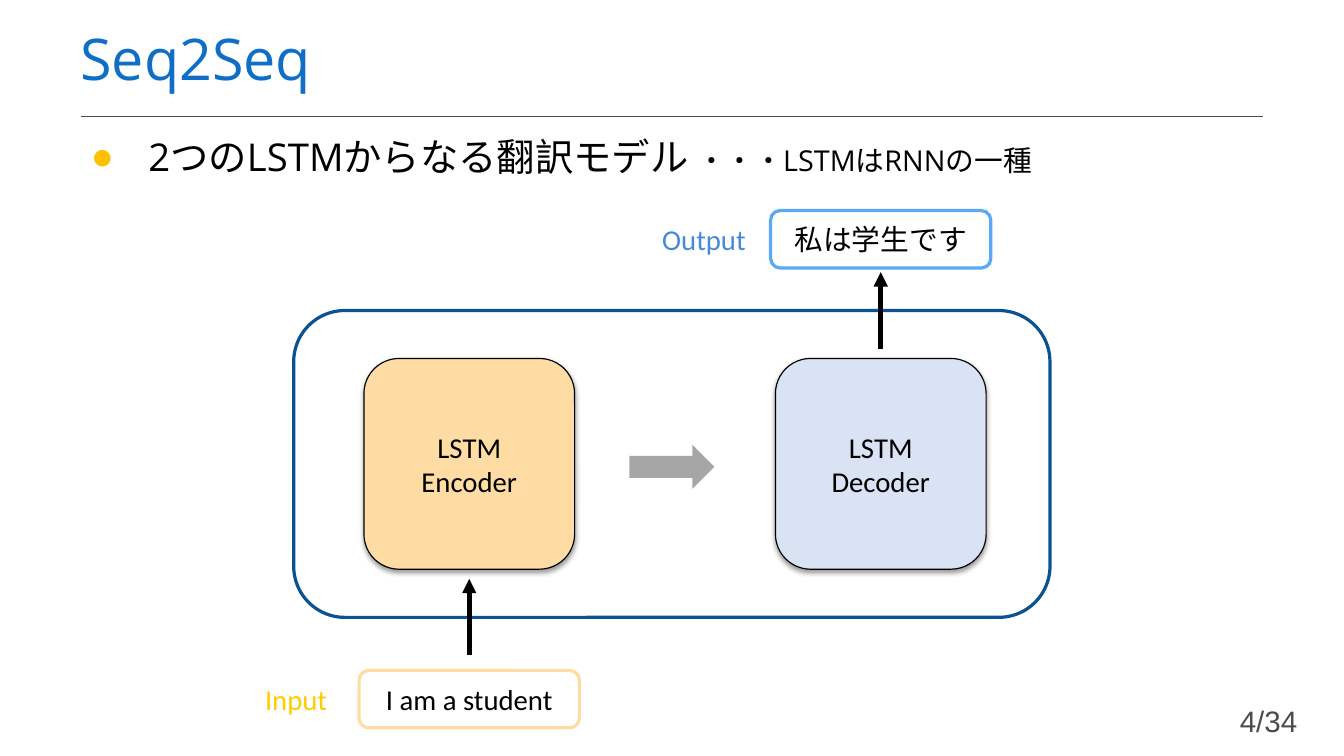
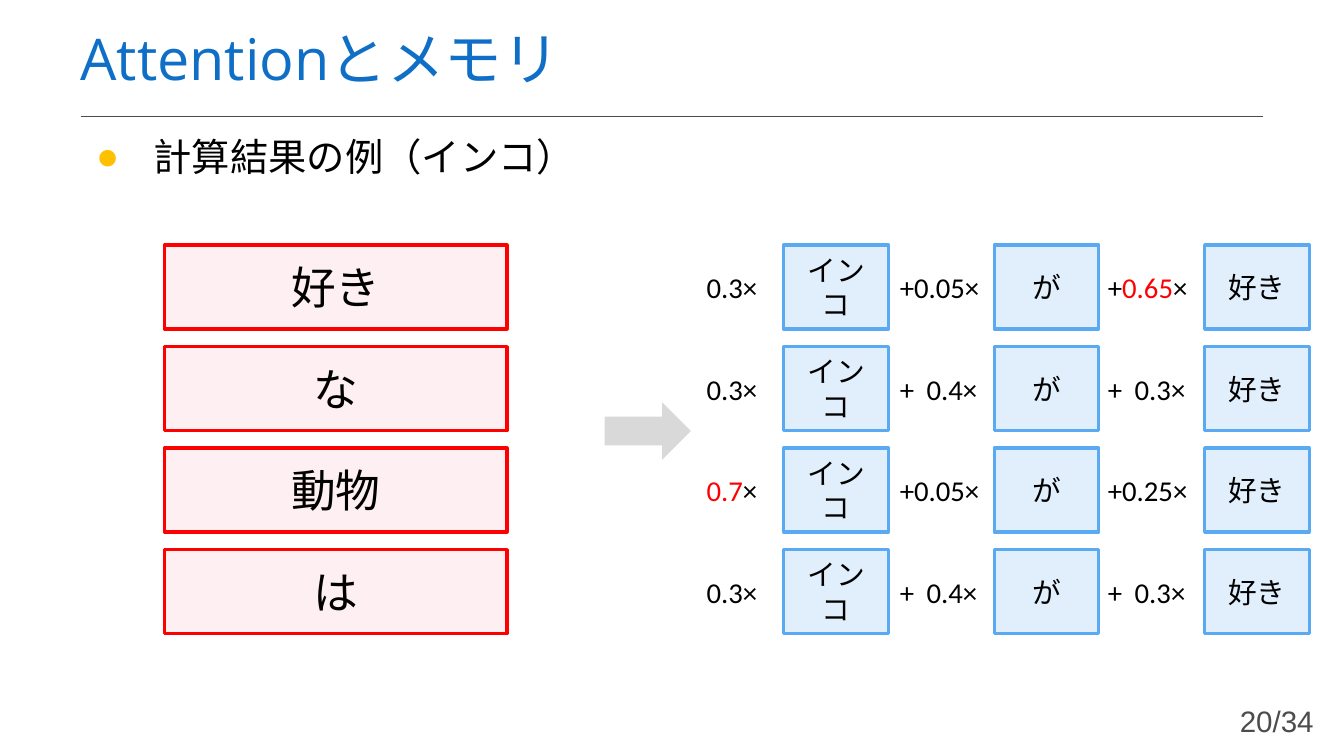
import dataclasses
import typing

import lxml.etree
import pptx
import pptx.dml.color
import pptx.enum.shapes
import pptx.enum.text
import pptx.oxml.ns
import pptx.util

Pt = pptx.util.Pt
SHAPE = pptx.enum.shapes.MSO_SHAPE
ALIGN = pptx.enum.text.PP_ALIGN
ANCHOR = pptx.enum.text.MSO_ANCHOR


@dataclasses.dataclass(frozen=True)
class Style:
    font: str
    size: float
    color: str
    east_asian: str = ""


@dataclasses.dataclass(frozen=True)
class Theme:
    black: str = "000000"
    blue: str = "59AAF2"
    pale_blue: str = "C8E3FB"
    red: str = "FF0000"
    pale_red: str = "FEE2E7"
    orange: str = "FFDCA4"
    decoder: str = "DAE3F4"
    frame: str = "0B5292"
    bullet: str = "FFC000"
    rule: str = "4C4C4C"
    gray: str = "A6A6A6"
    light_gray: str = "D9D9D9"
    tint: int = 54
    outline: float = 2
    title: Style = Style("Open Sans", 36, "0F6FC6")
    body: Style = Style("Open Sans", 24, "000000")
    remark: Style = Style("Open Sans", 18, "000000", "Open Sans")
    label: Style = Style("Calibri", 18, "000000")
    highlight: Style = Style("Calibri", 18, "FF0000")
    input_label: Style = Style("Calibri", 18, "FFCC00")
    output_label: Style = Style("Calibri", 18, "448AD7")
    query: Style = Style("Arial", 28, "000000")
    memory: Style = Style("Arial", 18, "000000")
    page: Style = Style("Arial", 18.5, "4C4C4C")


THEME = Theme()


class Box(typing.NamedTuple):
    x: float
    y: float
    w: float
    h: float

    def lengths(self):
        return [Pt(value) for value in self]

    @property
    def center(self):
        return self.x + self.w / 2

    @property
    def bottom(self):
        return self.y + self.h


def rgb(color):
    return pptx.dml.color.RGBColor.from_string(color)


def add_xml(parent, tag, **attributes):
    values = {name: str(value) for name, value in attributes.items()}
    return lxml.etree.SubElement(parent, pptx.oxml.ns.qn(tag), values)


def format_run(run, style):
    run.font.name = style.font
    run.font.size = Pt(style.size)
    run.font.color.rgb = rgb(style.color)
    if style.east_asian:
        add_xml(run._r.get_or_add_rPr(), "a:ea", typeface=style.east_asian)


def write_runs(paragraph, runs):
    for text, style in runs:
        run = paragraph.add_run()
        run.text = text
        format_run(run, style)


def clear_margins(frame):
    frame.margin_left = frame.margin_right = 0
    frame.margin_top = frame.margin_bottom = 0


def add_block(slide, kind, box, fill=None, line=None, text="", style=THEME.label,
              width=THEME.outline, opacity=None):
    block = slide.shapes.add_shape(kind, *box.lengths())
    block.shadow.inherit = False
    if fill:
        block.fill.solid()
        block.fill.fore_color.rgb = rgb(fill)
        if opacity:
            color = block.fill._xPr.find(".//" + pptx.oxml.ns.qn("a:srgbClr"))
            add_xml(color, "a:alpha", val=opacity * 1000)
    else:
        block.fill.background()
    if line:
        block.line.color.rgb = rgb(line)
        block.line.width = Pt(width)
    else:
        block.line.fill.background()
    if text:
        frame = block.text_frame
        frame.text = text
        frame.vertical_anchor = ANCHOR.MIDDLE
        for paragraph in frame.paragraphs:
            paragraph.alignment = ALIGN.CENTER
            for run in paragraph.runs:
                format_run(run, style)
    return block


def add_label(slide, box, runs, tab=None):
    label = slide.shapes.add_textbox(*box.lengths())
    label.text_frame.word_wrap = True
    paragraph = label.text_frame.paragraphs[0]
    if tab:
        stops = add_xml(paragraph._p.get_or_add_pPr(), "a:tabLst")
        add_xml(stops, "a:tab", pos=Pt(tab), algn="l")
    write_runs(paragraph, runs)
    return label


def add_line(slide, start, end, color, width, arrow=False):
    line = slide.shapes.add_connector(
        pptx.enum.shapes.MSO_CONNECTOR.STRAIGHT, *map(Pt, start + end))
    line.line.color.rgb = rgb(color)
    line.line.width = Pt(width)
    if arrow:
        add_xml(line.line._get_or_add_ln(), "a:tailEnd", type="triangle")
    add_xml(line._element.spPr, "a:effectLst")


def add_soft_shadow(block):
    effects = block._element.spPr.find(pptx.oxml.ns.qn("a:effectLst"))
    shadow = add_xml(effects, "a:outerShdw", blurRad=Pt(3.1), dist=Pt(1.6),
                     dir=5400000, algn="t", rotWithShape=0)
    add_xml(add_xml(shadow, "a:srgbClr", val=THEME.black), "a:alpha", val=38000)


def fill_placeholder(placeholder, box, runs, bullet=False):
    placeholder.left, placeholder.top, placeholder.width, placeholder.height = box.lengths()
    frame = placeholder.text_frame
    clear_margins(frame)
    frame.word_wrap = True
    frame.auto_size = pptx.enum.text.MSO_AUTO_SIZE.NONE
    frame.vertical_anchor = ANCHOR.TOP
    paragraph = frame.paragraphs[0]
    if bullet:
        properties = paragraph._p.get_or_add_pPr()
        properties.set("marL", str(Pt(36)))
        properties.set("indent", str(-Pt(36)))
        add_xml(add_xml(properties, "a:buClr"), "a:srgbClr", val=THEME.bullet)
        add_xml(properties, "a:buFont", typeface="Arial")
        add_xml(properties, "a:buChar", char="●")
    paragraph.alignment = ALIGN.LEFT
    paragraph.space_before = Pt(0)
    write_runs(paragraph, runs)


def add_content_slide(deck, title, body_box, body_runs, page):
    """Add a slide with the shared title, rule, bullet and page number."""
    slide = deck.slides.add_slide(deck.slide_layouts[1])
    add_line(slide, (50.5, 73), (791, 73), THEME.rule, 0.92)
    fill_placeholder(slide.shapes.title, Box(50.4, 14.7, 742, 44), [(title, THEME.title)])
    fill_placeholder(slide.placeholders[1], body_box, body_runs, bullet=True)
    number = add_label(slide, Box(774.7, 440.4, 60, 22), [(page, THEME.page)])
    clear_margins(number.text_frame)
    number.text_frame.margin_left = Pt(2)
    return slide


def draw_sentence(slide, center, top, text, line, name, name_style, name_width):
    """Draw a rounded sentence box with its name on the left."""
    box = Box(center - 69, top, 138, 36)
    add_block(slide, SHAPE.ROUNDED_RECTANGLE, box, line=line, text=text)
    add_label(slide, Box(box.x - name_width, top + 3.6, name_width, 29), [(name, name_style)])


def draw_translator(slide, frame):
    side = 132
    encoder = Box(frame.x + 44, frame.y + 30, side, side)
    decoder = encoder._replace(x=encoder.x + 257.8)
    for box, text, fill in ((encoder, "LSTM\nEncoder", THEME.orange),
                            (decoder, "LSTM\nDecoder", THEME.decoder)):
        cell = add_block(slide, SHAPE.ROUNDED_RECTANGLE, box, fill, THEME.black, text, width=0.75)
        add_soft_shadow(cell)
    add_block(slide, SHAPE.ROUNDED_RECTANGLE, frame, line=THEME.frame)

    near, far = 6, 54
    for x, edge, first, last in ((encoder.center, encoder.bottom, far, near),
                                 (decoder.center, decoder.y, -near, -far)):
        add_line(slide, (x, edge + first), (x, edge + last), THEME.black, 3, arrow=True)

    draw_sentence(slide, encoder.center, frame.bottom + 33.2, "I am a student",
                  THEME.orange, "Input", THEME.input_label, 66)
    draw_sentence(slide, decoder.center, frame.y - 62.6, "私は学生です",
                  THEME.blue, "Output", THEME.output_label, 75)
    add_block(slide, SHAPE.RIGHT_ARROW,
              Box(frame.center - 26.6, frame.y + 84.2, 53.3, 27.4), THEME.gray)


def draw_queries(slide, area, words, pitch, height):
    for row, word in enumerate(words):
        add_block(slide, SHAPE.RECTANGLE, Box(area.x, area.y + row * pitch, area.w, height),
                  THEME.pale_red, THEME.red, word, THEME.query, opacity=THEME.tint)


def draw_factor(slide, box, sign, weight):
    """Write one weight, highlighting those above one half."""
    style = THEME.highlight if float(weight) > 0.5 else THEME.label
    gap = "\t" if sign and len(weight) == 3 else ""
    runs = [(weight, style), ("×", THEME.label)]
    if sign:
        runs.insert(0, (sign + gap, THEME.label))
    add_label(slide, box, runs, tab=16.8 if gap else None)


def draw_weighted_sums(slide, area, weights, pitch, height):
    width = 65.5
    column_pitch = (area.w - width) / 2
    columns = (("インコ", "", 55.4, 65.5), ("が", "+", 66.2, 76.3), ("好き", "+", 67.7, 76.3))
    for row, row_weights in enumerate(weights):
        y = area.y + row * pitch
        for column, (word, sign, lead, factor_width) in enumerate(columns):
            x = area.x + column * column_pitch
            add_block(slide, SHAPE.RECTANGLE, Box(x, y, width, height), THEME.pale_blue,
                      THEME.blue, word, THEME.memory, opacity=THEME.tint)
            draw_factor(slide, Box(x - lead, y + 12, factor_width, 29), sign,
                        row_weights[column])


def build_seq2seq(deck):
    slide = add_content_slide(
        deck, "Seq2Seq", Box(57, 83.5, 646, 29),
        [("2つのLSTMからなる翻訳モデル ", THEME.body),
         ("・・・LSTMはRNNの一種", THEME.remark)], "4/34")
    draw_translator(slide, Box(184, 194.5, 473.8, 192.2))


def build_attention(deck):
    slide = add_content_slide(deck, "Attentionとメモリ", Box(60.3, 83.5, 775, 352),
                              [("計算結果の例（インコ）", THEME.body)], "20/34")
    top, pitch, height = 153.5, 63.6, 52.6
    total = 3 * pitch + height
    draw_queries(slide, Box(103, top, 214.6, total), ("好き", "な", "動物", "は"), pitch, height)
    add_block(slide, SHAPE.RIGHT_ARROW, Box(378.8, 252, 54, 36), THEME.light_gray)
    weights = (("0.3", "0.05", "0.65"), ("0.3", "0.4", "0.3"),
               ("0.7", "0.05", "0.25"), ("0.3", "0.4", "0.3"))
    draw_weighted_sums(slide, Box(491, top, 329.2, total), weights, pitch, height)


def main():
    deck = pptx.Presentation()
    deck.slide_width, deck.slide_height = Pt(842), Pt(473.5)
    build_seq2seq(deck)
    build_attention(deck)
    deck.save("out.pptx")


if __name__ == "__main__":
    main()
